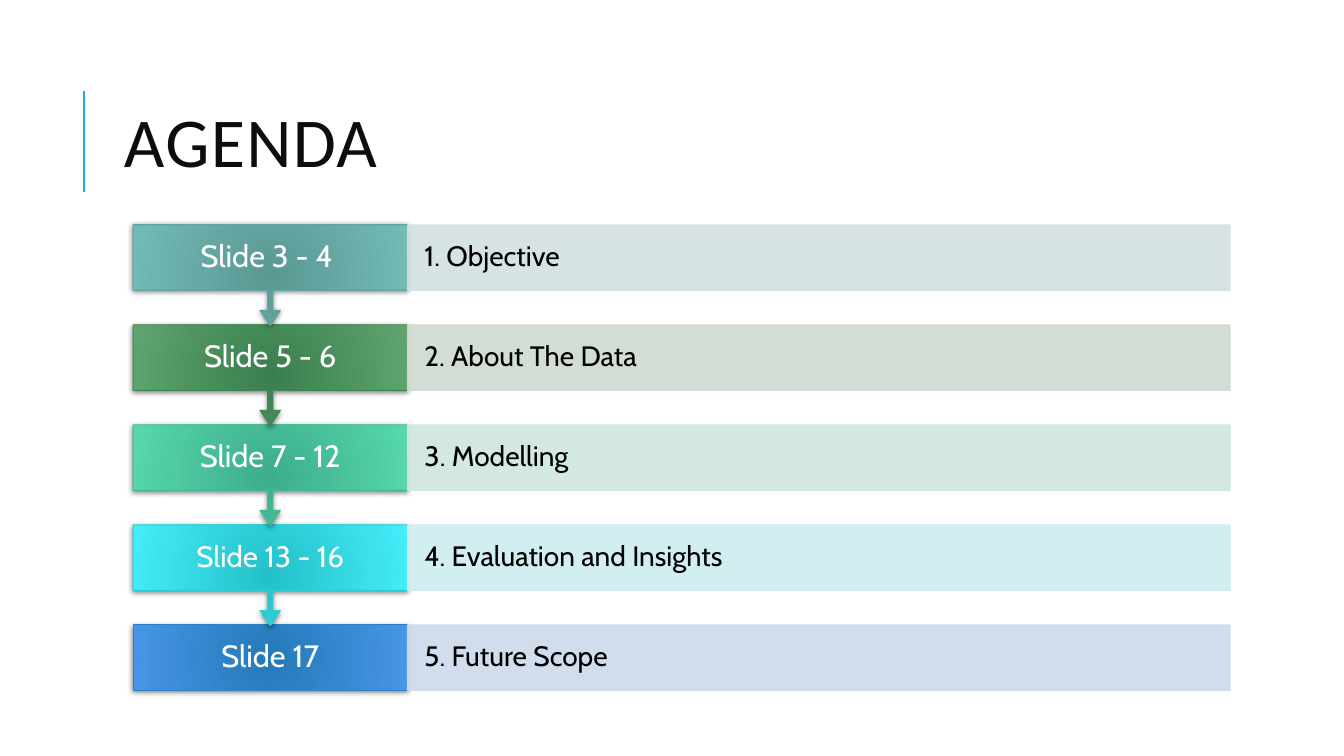
from dataclasses import dataclass

from lxml.etree import SubElement
from pptx import Presentation
from pptx.dml.color import RGBColor
from pptx.enum.shapes import MSO_CONNECTOR, MSO_SHAPE
from pptx.enum.text import MSO_ANCHOR, MSO_AUTO_SIZE, PP_ALIGN
from pptx.oxml.ns import qn
from pptx.util import Inches, Pt


@dataclass(frozen=True)
class Theme:
    """Colours, fonts and type sizes of the slide."""
    ink: str = "0D0D0D"
    rule: str = "1CADE4"
    white: str = "FFFFFF"
    black: str = "000000"
    head: str = "Calibri"
    body: str = "Cabin"
    title: int = 50
    label: int = 22
    tight: int = 21
    topic: int = 20
    edge: float = 0.75


@dataclass(frozen=True)
class Grid:
    """Grid of four columns and five rows."""
    left: float = 1.32
    top: float = 2.23
    col: float = 2.72
    row: float = (6.2 - 2.23) / 4

    def spot(self, col, row):
        """Return the point at a column and row."""
        return Inches(self.left + col * self.col), Inches(self.top + row * self.row)

    def box(self, col, row, wide, high):
        """Return left, top, width and height of a span of cells."""
        return *self.spot(col, row), Inches(wide * self.col), Inches(high * self.row)


THEME = Theme()
GRID = Grid()
BAR = 0.65 / GRID.row
STEP = 1 / GRID.row
ARROW = (0.05, 0.1, 0.15, 0.65)

ITEMS = [
    ("Slide 3 - 4 ", "1. Objective", THEME.label, "5B9894", "72BBB6", "62A39F", "D3E0DF"),
    ("Slide 5 - 6", "2. About The Data", THEME.label, "3A7F4D", "5FA56F", "3E8853", "CEDAD1"),
    ("Slide 7 - 12", "3. Modelling", THEME.label, "3DAD8D", "57D8AC", "42BA97", "CFE7DD"),
    ("Slide 13 - 16", "4. Evaluation and Insights", THEME.tight, "24C0C8", "44EEFA", "27CED7", "CDEDF0"),
    ("Slide 17", "5. Future Scope", THEME.label, "237AB8", "4895E7", "2683C6", "CDD9EA"),
]


def apply(item, **values):
    """Set each given format value on an object."""
    for name, value in values.items():
        setattr(item, name, value)


def rgb(code):
    """Return a colour from its hex code."""
    return RGBColor.from_string(code)


def write(shape, text, font, size, color, align, pad, lead):
    """Fill a shape with one formatted line of text."""
    frame = shape.text_frame
    apply(frame, text=text, word_wrap=True, auto_size=MSO_AUTO_SIZE.NONE,
          vertical_anchor=MSO_ANCHOR.MIDDLE, margin_left=Inches(pad),
          margin_right=Inches(pad), margin_top=0, margin_bottom=0)
    para = frame.paragraphs[0]
    apply(para, alignment=align, line_spacing=lead)
    run = para.runs[0]
    apply(run.font, name=font, size=Pt(size))
    run.font.color.rgb = rgb(color)
    return run


def stroke(line, color, width):
    """Set the colour and width of a line."""
    line.color.rgb = rgb(color)
    line.width = Pt(width)


def fade(shape, inner, outer):
    """Give a shape a round gradient from its centre."""
    shape.fill.gradient()
    for stop, color in zip(shape.fill.gradient_stops, (inner, outer)):
        stop.color.rgb = rgb(color)
    grad = shape.element.spPr.find(qn("a:gradFill"))
    grad.remove(grad.find(qn("a:lin")))
    ring = SubElement(grad, qn("a:path"), path="circle")
    SubElement(ring, qn("a:fillToRect"), l="100000", t="100000", r="100000", b="100000")


def shade(shape):
    """Drop a soft shadow under a shape."""
    effect = shape.element.spPr.find(qn("a:effectLst"))
    drop = SubElement(effect, qn("a:outerShdw"), blurRad=str(Pt(4)), dist=str(Pt(1)),
                      dir="5400000", algn="ctr", rotWithShape="0")
    tint = SubElement(drop, qn("a:srgbClr"), val=THEME.black)
    SubElement(tint, qn("a:alpha"), val="50000")


def add_label(slide, row, text, size, inner, outer, edge):
    """Add a slide range, with an arrow down unless it is last."""
    last = row == len(ITEMS) - 1
    kind = MSO_SHAPE.RECTANGLE if last else MSO_SHAPE.DOWN_ARROW_CALLOUT
    shape = slide.shapes.add_shape(kind, *GRID.box(0, row, 1, BAR if last else STEP))
    if not last:
        for spot, value in enumerate(ARROW):
            shape.adjustments[spot] = value
    fade(shape, inner, outer)
    stroke(shape.line, edge, THEME.edge)
    shape.shadow.inherit = False
    shade(shape)
    write(shape, text, THEME.body, size, THEME.white, PP_ALIGN.CENTER, 0.19, 0.9)


def add_topic(slide, row, text, tint):
    """Add a pale, slightly clear bar with a topic."""
    shape = slide.shapes.add_shape(MSO_SHAPE.RECTANGLE, *GRID.box(1, row, 3, BAR))
    shape.fill.solid()
    shape.fill.fore_color.rgb = rgb(tint)
    stroke(shape.line, tint, THEME.edge)
    shape.shadow.inherit = False
    for color in shape.element.spPr.iter(qn("a:srgbClr")):
        SubElement(color, qn("a:alpha"), val="90000")
    write(shape, text, THEME.body, THEME.topic, THEME.black, PP_ALIGN.LEFT, 0.17, 0.9)


def add_title(slide, text):
    """Place the title and the rule on its left."""
    rule = slide.shapes.add_connector(
        MSO_CONNECTOR.STRAIGHT, *GRID.spot(-0.18, -0.33), *GRID.spot(-0.18, -1.34))
    stroke(rule.line, THEME.rule, 1.5)
    SubElement(rule.element.spPr, qn("a:effectLst"))
    title = slide.shapes.title
    places = zip(("left", "top", "width", "height"), GRID.box(-0.07, -1.6, 3.91, 1.65))
    apply(title, **dict(places))
    run = write(title, text, THEME.head, THEME.title, THEME.ink, PP_ALIGN.LEFT, 0.1, 0.8)
    run.font._element.set("spc", "100")


def main():
    """Build the agenda slide."""
    deck = Presentation()
    apply(deck, slide_width=Inches(13.33), slide_height=Inches(7.5))
    slide = deck.slides.add_slide(deck.slide_layouts[5])
    add_title(slide, "AGENDA")
    for row, item in reversed(list(enumerate(ITEMS))):
        label, topic, size, inner, outer, edge, tint = item
        add_label(slide, row, label, size, inner, outer, edge)
        add_topic(slide, row, topic, tint)
    deck.save("out.pptx")


if __name__ == "__main__":
    main()
